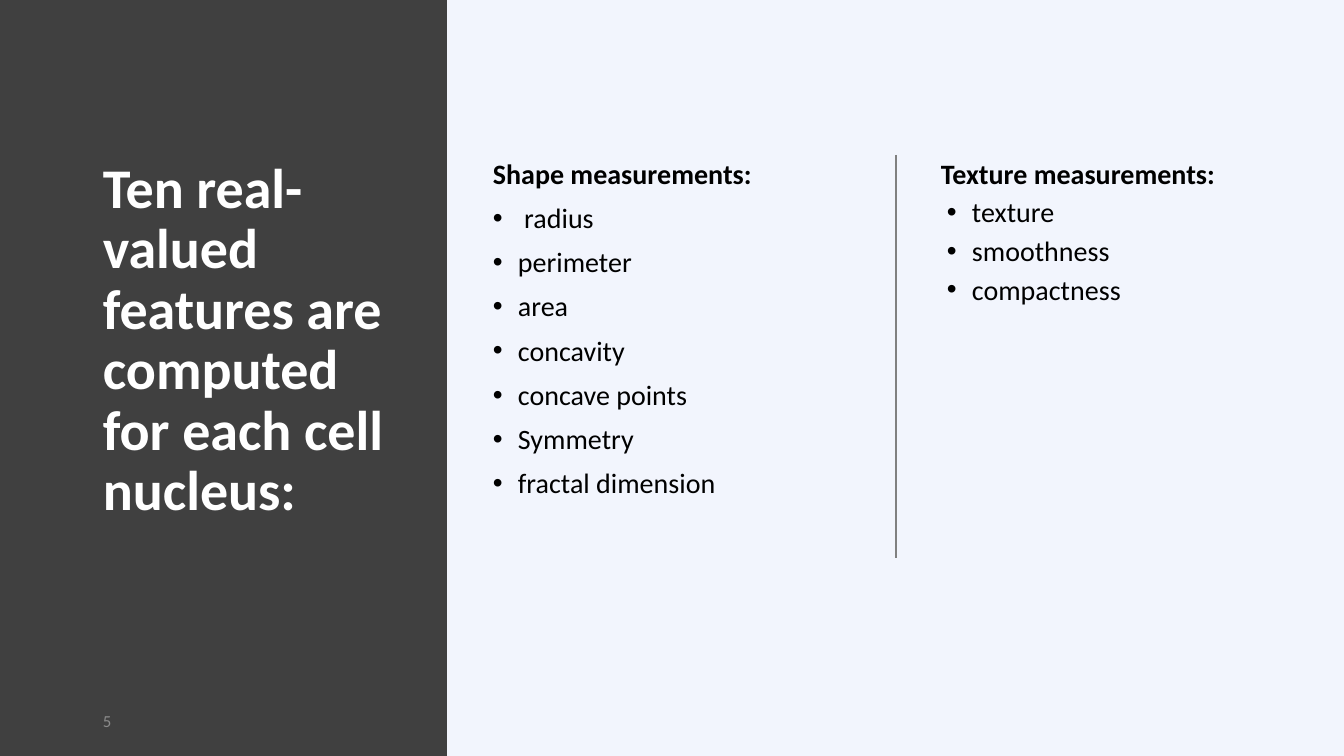
import pptx
import pptx.dml.color
import pptx.enum.shapes
import pptx.enum.text
import pptx.oxml.ns
import pptx.util
from lxml import etree

EMU_PER_PX = 914400 / 100.8
COLORS = {
    "background": "F2F5FD",
    "panel": "404040",
    "title": "FFFFFF",
    "body": "000000",
    "divider": "808080",
    "number": "8C8C8C",
}


def px(n):
    return pptx.util.Emu(round(n * EMU_PER_PX))


def color(name):
    return pptx.dml.color.RGBColor.from_string(COLORS[name])


def add_child(parent, tag, **attrs):
    return etree.SubElement(parent, pptx.oxml.ns.qn(tag), **attrs)


class SlideBuilder:
    font = "Calibri"

    def __init__(self, prs):
        self.slide = prs.slides.add_slide(prs.slide_layouts[6])
        fill = self.slide.background.fill
        fill.solid()
        fill.fore_color.rgb = color("background")

    def rect(self, x, y, w, h, fill):
        sp = self.slide.shapes.add_shape(
            pptx.enum.shapes.MSO_SHAPE.RECTANGLE, px(x), px(y), px(w), px(h))
        sp.shadow.inherit = False
        sp.fill.solid()
        sp.fill.fore_color.rgb = color(fill)
        sp.line.fill.background()

    def line(self, x1, y1, x2, y2, stroke):
        cxn = self.slide.shapes.add_connector(
            pptx.enum.shapes.MSO_CONNECTOR.STRAIGHT, px(x1), px(y1), px(x2), px(y2))
        cxn.line.color.rgb = color(stroke)
        cxn.line.width = pptx.util.Pt(1)
        add_child(cxn._element.spPr, "a:effectLst")

    def frame(self, x, y, w, h, anchor="TOP"):
        tf = self.slide.shapes.add_textbox(px(x), px(y), px(w), px(h)).text_frame
        tf.word_wrap = True
        tf.vertical_anchor = pptx.enum.text.MSO_ANCHOR[anchor]
        return tf

    def style(self, p, text, size, fill, bold=False):
        p.text = text
        p.font.name = self.font
        p.font.size = pptx.util.Pt(size)
        p.font.bold = bold
        p.font.color.rgb = color(fill)

    def text(self, x, y, w, h, text, size, fill, bold=False, anchor="TOP", spacing=1.0):
        p = self.frame(x, y, w, h, anchor).paragraphs[0]
        p.line_spacing = spacing
        self.style(p, text, size, fill, bold)

    def bullet_list(self, x, y, w, h, heading, items, indent, before=0, after=0):
        tf = self.frame(x, y, w, h)
        for i, text in enumerate([heading] + items):
            p = tf.add_paragraph() if i else tf.paragraphs[0]
            p.line_spacing = 0.9
            p.space_before = pptx.util.Pt(before if i else 0)
            p.space_after = pptx.util.Pt(after)
            if i:
                pPr = p._p.get_or_add_pPr()
                pPr.set("marL", str(px(indent)))
                pPr.set("indent", str(px(-25)))
                add_child(pPr, "a:buFont", typeface="Arial")
                add_child(pPr, "a:buChar", char="•")
            self.style(p, text, 20, "body", bold=i == 0)


def main():
    prs = pptx.Presentation()
    prs.slide_width, prs.slide_height = px(1344), px(756)
    s = SlideBuilder(prs)
    top, height = 155, 481

    # Title panel
    s.rect(0, 0, 447, 756, "panel")
    s.text(93, top, 319, height,
           "Ten real-valued features are computed for each cell nucleus:",
           40, "title", bold=True, spacing=0.9)

    # Two lists with a divider
    s.bullet_list(483, top, 378, height, "Shape measurements:",
                  [" radius", "perimeter", "area", "concavity",
                   "concave points", "Symmetry", "fractal dimension"],
                  indent=25, before=10)
    s.line(896, top, 896, 558, "divider")
    s.bullet_list(931, top, 353, height, "Texture measurements:",
                  ["texture", "smoothness", "compactness"],
                  indent=31, after=6)

    # Slide number
    s.text(93, 701, 302, 40, "5", 12, "number", anchor="MIDDLE")

    prs.save("out.pptx")


if __name__ == "__main__":
    main()
